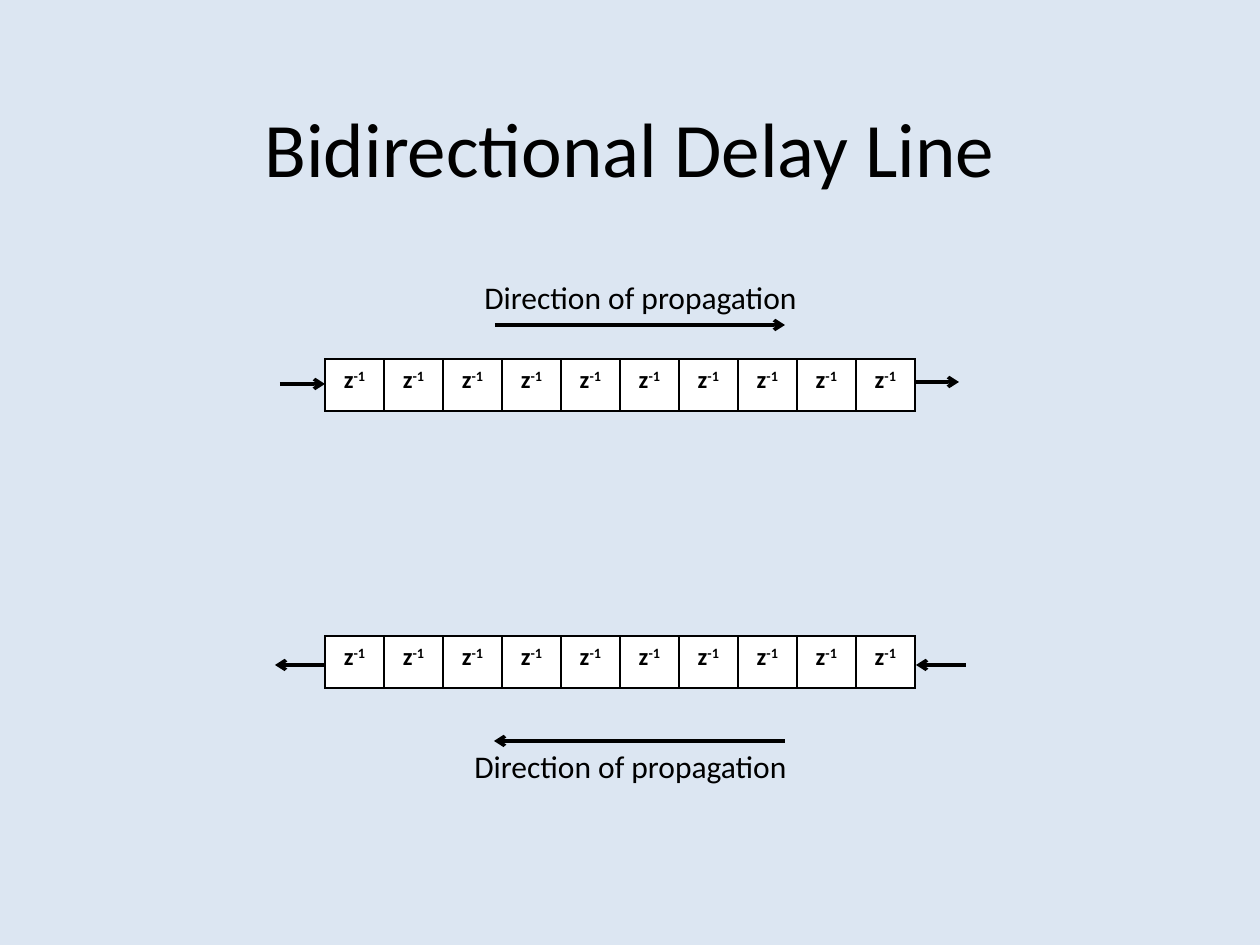
from lxml import etree
from pptx import Presentation
from pptx.dml.color import RGBColor
from pptx.enum.shapes import MSO_CONNECTOR
from pptx.enum.text import MSO_ANCHOR, MSO_AUTO_SIZE, PP_ALIGN
from pptx.oxml import parse_xml
from pptx.oxml.ns import nsdecls, qn
from pptx.util import Pt

STRAIGHT = MSO_CONNECTOR.STRAIGHT
CENTER = PP_ALIGN.CENTER
MIDDLE = MSO_ANCHOR.MIDDLE
FIT_SHAPE = MSO_AUTO_SIZE.SHAPE_TO_FIT_TEXT
EMU_PER_PIXEL = 914400 / 126
FONT = "Calibri"
BLACK, WHITE, BACKGROUND = "000000", "FFFFFF", "DCE6F2"
CELL_COUNT, CELL_WIDTH, CELL_HEIGHT = 10, 59, 52


def scaled(*pixels):
    """Turn pixel lengths into EMU."""
    return [round(pixel * EMU_PER_PIXEL) for pixel in pixels]


def color(hex_string):
    """Return the colour for a hex string."""
    return RGBColor.from_string(hex_string)


def style_font(font, size, bold=False):
    """Apply the common typeface and colour to a font."""
    font.name = FONT
    font.size = Pt(size)
    font.bold = bold
    font.color.rgb = color(BLACK)


def add_title(slide, box, text):
    """Place the title placeholder in the box."""
    title = slide.shapes.title
    title.left, title.top, title.width, title.height = scaled(*box)
    title.text_frame.text = text
    title.text_frame.vertical_anchor = MIDDLE
    paragraph = title.text_frame.paragraphs[0]
    paragraph.alignment = CENTER
    style_font(paragraph.font, 44)


def add_arrow(slide, start_x, end_x, y):
    """Draw a horizontal arrow pointing at end_x."""
    arrow = slide.shapes.add_connector(STRAIGHT, *scaled(start_x, y, end_x, y))
    arrow.line.color.rgb = color(BLACK)
    arrow.line.width = Pt(2)
    etree.SubElement(arrow.line._get_or_add_ln(), qn("a:tailEnd"), type="arrow")
    etree.SubElement(arrow._element.spPr, qn("a:effectLst"))


def add_label(slide, box, text):
    """Add an unwrapped caption in the box."""
    label = slide.shapes.add_textbox(*scaled(*box))
    label.text_frame.word_wrap = False
    label.text_frame.auto_size = FIT_SHAPE
    label.text_frame.text = text
    style_font(label.text_frame.paragraphs[0].font, 18)


def add_borders(cell):
    """Give a cell thin black borders on every side."""
    properties = cell._tc.get_or_add_tcPr()
    for index, side in enumerate(("lnL", "lnR", "lnT", "lnB")):
        properties.insert(index, parse_xml(
            f'<a:{side} {nsdecls("a")} w="12700"><a:solidFill>'
            f'<a:srgbClr val="{BLACK}"/></a:solidFill></a:{side}>'))


def fill_delay_cell(cell):
    """Write a unit delay into a bordered white cell."""
    cell.fill.solid()
    cell.fill.fore_color.rgb = color(WHITE)
    add_borders(cell)
    paragraph = cell.text_frame.paragraphs[0]
    paragraph.alignment = CENTER
    style_font(paragraph.font, 14, bold=True)
    paragraph.add_run().text = "z"
    exponent = paragraph.add_run()
    exponent.text = "-1"
    exponent._r.get_or_add_rPr().set("baseline", "30000")


def add_delay_line(slide, left, top, arrows, label_offset):
    """Build a row of delays with its arrows and caption."""
    frame = slide.shapes.add_table(
        1, CELL_COUNT, *scaled(left, top, CELL_COUNT * CELL_WIDTH, CELL_HEIGHT))
    for column in frame.table.columns:
        column.width = scaled(CELL_WIDTH)[0]
    for cell in frame.table.iter_cells():
        fill_delay_cell(cell)
    for start_x, end_x, y in arrows:
        add_arrow(slide, left + start_x, left + end_x, top + y)
    label_x, label_y = label_offset
    add_label(slide, (left + label_x, top + label_y, 354, 50),
              "Direction of propagation")


presentation = Presentation()
presentation.slide_width, presentation.slide_height = scaled(1260, 945)
slide = presentation.slides.add_slide(presentation.slide_layouts[5])
slide.background.fill.solid()
slide.background.fill.fore_color.rgb = color(BACKGROUND)
add_title(slide, (63, 68, 1134, 158), "Bidirectional Delay Line")
add_delay_line(slide, 325, 359,
               [(-45, 0, 25), (590, 634, 23), (170, 460, -34)], (147, -87))
add_delay_line(slide, 325, 636,
               [(641, 591, 29), (0, -50, 29), (460, 169, 105)], (137, 105))
presentation.save("out.pptx")
